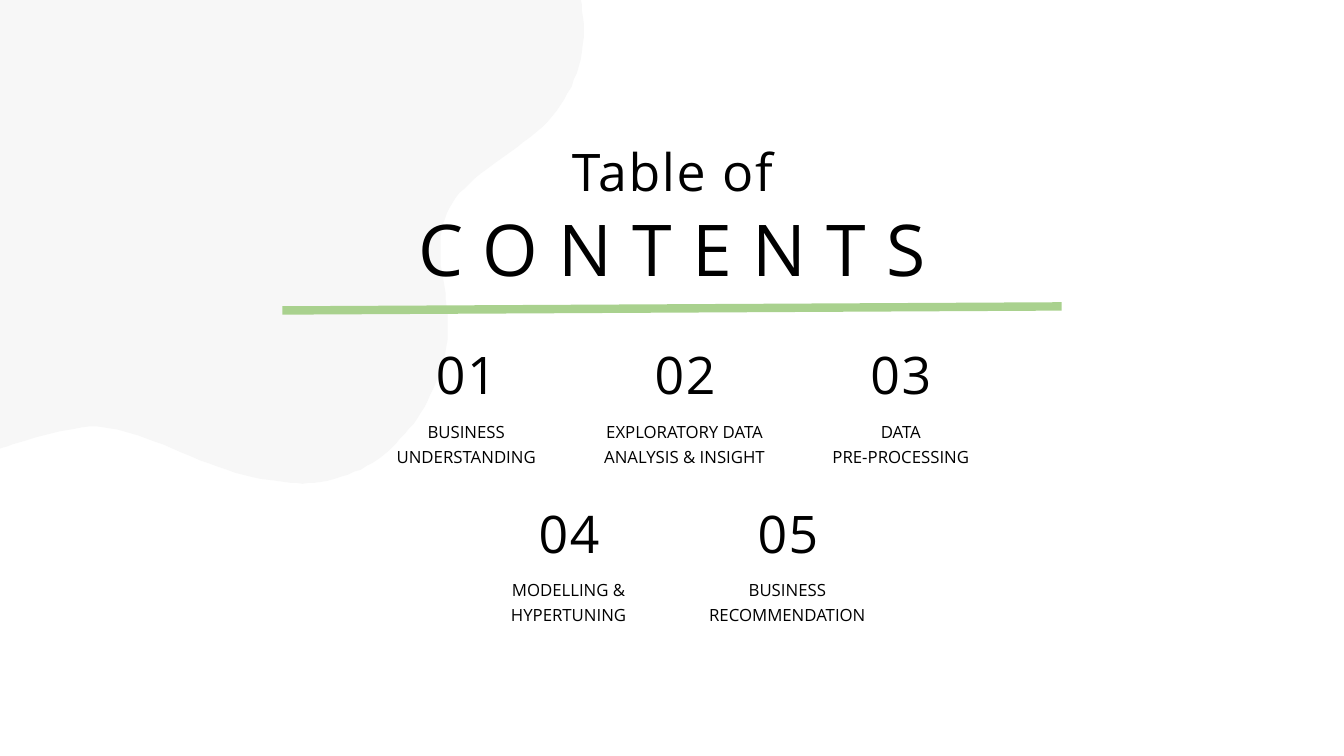
from dataclasses import dataclass

from lxml.etree import SubElement
from pptx import Presentation
from pptx.dml.color import RGBColor
from pptx.enum.shapes import MSO_CONNECTOR as Connector
from pptx.enum.text import MSO_ANCHOR as Anchor, MSO_AUTO_SIZE as AutoSize, PP_ALIGN as Align
from pptx.oxml.ns import qn
from pptx.util import Pt

PX = 9144  # EMU per px, at 100 px to the inch


@dataclass(frozen=True)
class TextStyle:
    size: float
    leading: float
    spacing: float = 0


@dataclass(frozen=True)
class Theme:
    font: str = "Open Sans"
    ink: RGBColor = RGBColor(0, 0, 0)
    wave: RGBColor = RGBColor(0xF7, 0xF7, 0xF7)
    rule: RGBColor = RGBColor(0xA9, 0xD1, 0x8E)
    rule_width: float = 6
    display: TextStyle = TextStyle(37, 40.3, 1.2)
    heading: TextStyle = TextStyle(51, 56.5, 14.6)
    label: TextStyle = TextStyle(12, 17.6)


THEME = Theme()

# Points the wave's curved edge passes through, from the top edge to the left edge
WAVE_EDGE = [
    (576, 0), (579, 30), (574, 66), (560, 98), (538, 126), (506, 151), (471, 177),
    (449, 201), (438, 229), (437, 257), (441, 285), (444, 316), (443, 342), (435, 372),
    (421, 404), (401, 431), (376, 455), (345, 471), (312, 479), (281, 478), (241, 471),
    (199, 457), (153, 438), (116, 426), (81, 424), (26, 437), (0, 445),
]

# Rows of contents: centre, label width, label
NUMBER_TOP, LABEL_TOP, ROW_STEP = 346, 414, 157
NUMBER_WIDTH = 165
ROWS = [
    [(462, 153, "BUSINESS UNDERSTANDING"),
     (679, 180, "EXPLORATORY DATA ANALYSIS & INSIGHT"),
     (893, 153, "DATA\nPRE-PROCESSING")],
    [(564, 196, "MODELLING & HYPERTUNING"),
     (781, 180, "BUSINESS\nRECOMMENDATION")],
]


def smooth_curve(points, steps=5):
    """Sample a Catmull-Rom curve through the points."""
    padded = [points[0], *points, points[-1]]
    curve = [points[0]]
    for a, b, c, d in zip(padded, padded[1:], padded[2:], padded[3:]):
        for step in range(1, steps + 1):
            t = step / steps
            curve.append(tuple(
                (2 * q + (r - p) * t + (2 * p - 5 * q + 4 * r - s) * t ** 2
                 + (3 * q - p - 3 * r + s) * t ** 3) / 2
                for p, q, r, s in zip(a, b, c, d)))
    return curve


def add_wave(slide):
    builder = slide.shapes.build_freeform(0, 0, scale=PX)
    builder.add_line_segments(smooth_curve(WAVE_EDGE), close=True)
    wave = builder.convert_to_shape()
    wave.shadow.inherit = False
    wave.fill.solid()
    wave.fill.fore_color.rgb = THEME.wave
    wave.line.fill.background()


def add_rule(slide, start, end):
    rule = slide.shapes.add_connector(Connector.STRAIGHT, *(v * PX for v in start + end))
    rule.line.color.rgb = THEME.rule
    rule.line.width = Pt(THEME.rule_width)
    SubElement(rule.element.spPr, qn("a:effectLst"))


def set_text(box, text, style):
    frame = box.text_frame
    frame.text = text
    frame.word_wrap = True
    frame.auto_size = AutoSize.SHAPE_TO_FIT_TEXT
    frame.vertical_anchor = Anchor.TOP
    frame.margin_left = frame.margin_top = frame.margin_right = frame.margin_bottom = 0
    for para in frame.paragraphs:
        para.alignment = Align.CENTER
        para.line_spacing = Pt(style.leading)
        para.space_before = Pt(0)
        para.font.name = THEME.font
        para.font.size = Pt(style.size)
        para.font.color.rgb = THEME.ink
    # Letter spacing, in hundredths of a point
    for properties in box.element.iter(qn("a:defRPr")):
        properties.set("spc", str(round(style.spacing * 100)))


def add_text(slide, left, top, width, height, text, style):
    box = slide.shapes.add_textbox(left * PX, top * PX, width * PX, height * PX)
    set_text(box, text, style)


def place_title(slide, left, top, width, height, text):
    title = slide.shapes.title
    title.left, title.top, title.width, title.height = (
        v * PX for v in (left, top, width, height))
    set_text(title, text, THEME.heading)
    # Bring the title in front of the wave
    title.element.getparent().append(title.element)


def add_entry(slide, number, row, centre, label_width, label):
    shift = row * ROW_STEP
    add_text(slide, centre - NUMBER_WIDTH // 2, NUMBER_TOP + shift, NUMBER_WIDTH, 56,
             f"{number:02}", THEME.display)
    add_text(slide, centre - label_width // 2, LABEL_TOP + shift, label_width, 49,
             label, THEME.label)


def main():
    deck = Presentation()
    deck.slide_width, deck.slide_height = 1333 * PX, 750 * PX
    slide = deck.slides.add_slide(deck.slide_layouts[5])

    # Background and heading
    add_wave(slide)
    add_rule(slide, (1053, 304), (280, 308))
    add_text(slide, 280, 144, 774, 56, "Table of", THEME.display)
    place_title(slide, 280, 210, 774, 79, "CONTENTS")

    # Numbered contents
    number = 0
    for row, entries in enumerate(ROWS):
        for entry in entries:
            number += 1
            add_entry(slide, number, row, *entry)

    deck.save("out.pptx")


if __name__ == "__main__":
    main()
